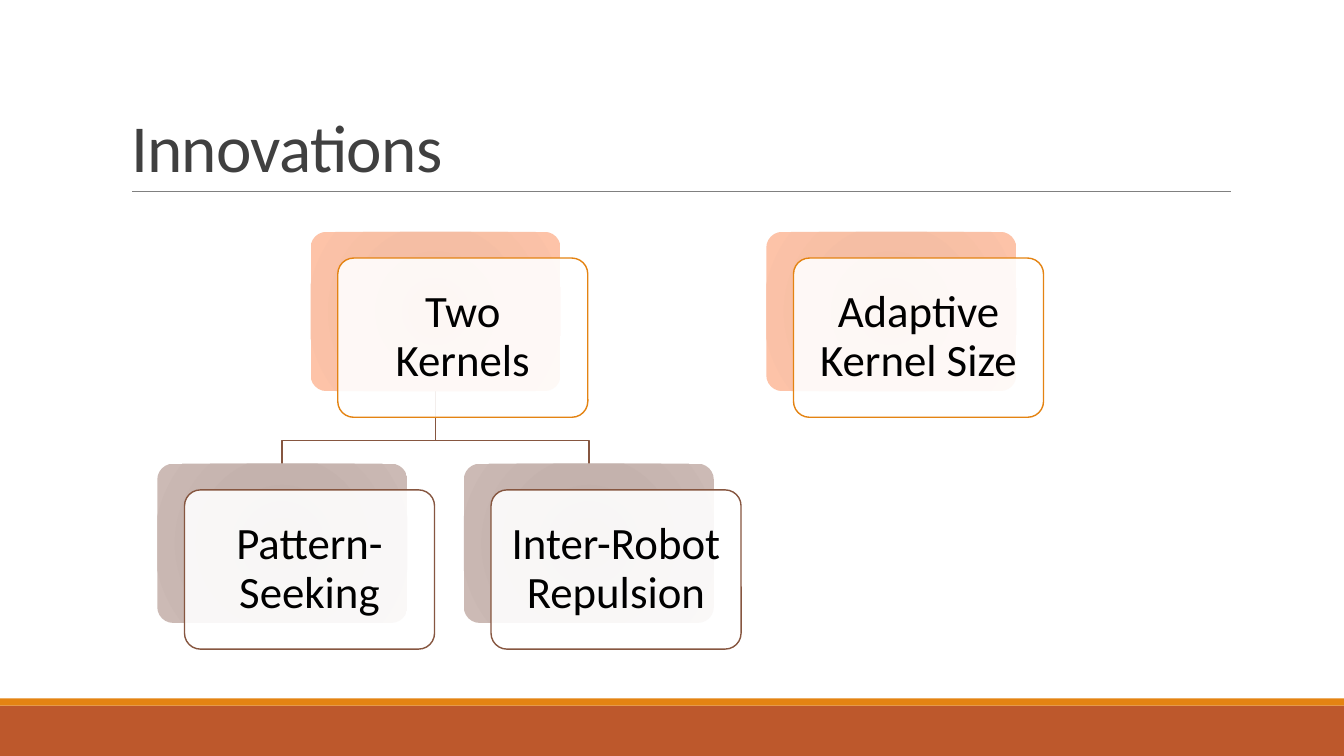
from lxml import etree
from pptx import Presentation
from pptx import util as u
from pptx.dml import color
from pptx.enum import shapes, text
from pptx.oxml import ns

COLORS = {
    "band": "BD582C", "stripe": "E48312", "rule": "808080",
    "title": "404040", "text": "000000", "white": "FFFFFF", "branch": "865640",
}
# Gradient stops (percent, colour) of the back plates
PLATES = {
    "stripe": [(0, "F0B191"), (45, "F5BEA4"), (100, "FDC3A8")],
    "branch": [(0, "B9A49E"), (45, "C4B2AD"), (100, "CCBAB5")],
}
CARD_W, CARD_H = 2.48, 1.58
SHIFT_X, SHIFT_Y = 0.27, 0.26
TOP_ROW, LOW_ROW = 2.3, 4.6


def rgb(name):
    return color.RGBColor.from_string(COLORS[name])


def sub(parent, tag, **attrs):
    return etree.SubElement(parent, ns.qn(tag), attrs)


def write(tf, words, size=32, ink="text", align=text.PP_ALIGN.CENTER,
          anchor=text.MSO_ANCHOR.MIDDLE, spacing=0.9, inset=0.13, tracking=None):
    tf.word_wrap = True
    tf.auto_size = text.MSO_AUTO_SIZE.NONE
    tf.vertical_anchor = anchor
    if inset is not None:
        tf.margin_left = tf.margin_right = u.Inches(inset)
        tf.margin_top = tf.margin_bottom = u.Inches(inset)
    p = tf.paragraphs[0]
    p.alignment, p.line_spacing = align, spacing
    r = p.add_run()
    r.text = words
    r.font.size, r.font.name = u.Pt(size), "Calibri"
    r.font.color.rgb = rgb(ink)
    if tracking is not None:
        r.font._element.set("spc", str(tracking))


class Deck:
    def __init__(self):
        self.prs = Presentation()
        self.prs.slide_width, self.prs.slide_height = u.Inches(13.33), u.Inches(7.5)
        self.s = self.prs.slides.add_slide(self.prs.slide_layouts[5])

    def title(self, words, x, y, w, h):
        sp = self.s.shapes.title
        sp.left, sp.top, sp.width, sp.height = map(u.Inches, (x, y, w, h))
        write(sp.text_frame, words, 48, "title", text.PP_ALIGN.LEFT,
              text.MSO_ANCHOR.BOTTOM, 0.85, None, -50)

    def box(self, x, y, w, h, fill=None, rounded=False):
        kind = shapes.MSO_SHAPE.ROUNDED_RECTANGLE if rounded else shapes.MSO_SHAPE.RECTANGLE
        sp = self.s.shapes.add_shape(kind, *map(u.Inches, (x, y, w, h)))
        sp.shadow.inherit = False
        sp.line.fill.background()
        if rounded:
            sp.adjustments[0] = 0.1
        if fill:
            sp.fill.solid()
            sp.fill.fore_color.rgb = rgb(fill)
        return sp

    def rule(self, x1, x2, y):
        ln = self.s.shapes.add_connector(
            shapes.MSO_CONNECTOR.STRAIGHT, *map(u.Inches, (x1, y, x2, y)))
        ln.line.color.rgb, ln.line.width = rgb("rule"), u.Pt(0.5)
        sub(ln._element.spPr, "a:effectLst")

    def elbow(self, x1, y1, x2, y2, bend):
        points = [tuple(map(u.Inches, pt))
                  for pt in ((x1, y1), (x1, bend), (x2, bend), (x2, y2))]
        fb = self.s.shapes.build_freeform(*points[0])
        fb.add_line_segments(points[1:], close=False)
        sp = fb.convert_to_shape()
        sp.shadow.inherit = False
        sp.fill.background()
        sp.line.color.rgb, sp.line.width = rgb("branch"), u.Pt(1.25)

    def card(self, words, x, y, accent):
        # Back plate with a radial gradient
        plate = self.box(x, y, CARD_W, CARD_H, rounded=True)
        grad = etree.Element(ns.qn("a:gradFill"), rotWithShape="1")
        stops = sub(grad, "a:gsLst")
        for pos, value in PLATES[accent]:
            sub(sub(stops, "a:gs", pos=str(pos * 1000)), "a:srgbClr", val=value)
        sub(sub(grad, "a:path", path="circle"), "a:fillToRect",
            l="100000", t="100000", r="100000", b="100000")
        plate._element.spPr.find(ns.qn("a:prstGeom")).addnext(grad)
        # Translucent front card with its label
        front = self.box(x + SHIFT_X, y + SHIFT_Y, CARD_W, CARD_H, "white", True)
        clr = front._element.spPr.find(ns.qn("a:solidFill"))[0]
        sub(clr, "a:alpha", val="90000")
        front.line.color.rgb, front.line.width = rgb(accent), u.Pt(1)
        write(front.text_frame, words)


def main():
    d = Deck()
    # Footer bands, title and rule
    d.box(0, 7, 13.33, 0.5, "band")
    d.box(0, 6.93, 13.33, 0.07, "stripe")
    d.rule(1.31, 12.21, 1.9)
    d.title("Innovations", 1.2, 0.31, 11, 1.59)

    # Branches from the first card to its two children
    parent_x, children = 3.08, (("Pattern-Seeking", 1.56), ("Inter-Robot Repulsion", 4.6))
    half = CARD_W / 2
    for _, x in reversed(children):
        d.elbow(parent_x + half, TOP_ROW + CARD_H, x + half, LOW_ROW, 4.37)

    # Cards
    d.card("Two Kernels", parent_x, TOP_ROW, "stripe")
    for words, x in children:
        d.card(words, x, LOW_ROW, "branch")
    d.card("Adaptive Kernel Size", 7.6, TOP_ROW, "stripe")
    d.prs.save("out.pptx")


if __name__ == "__main__":
    main()
